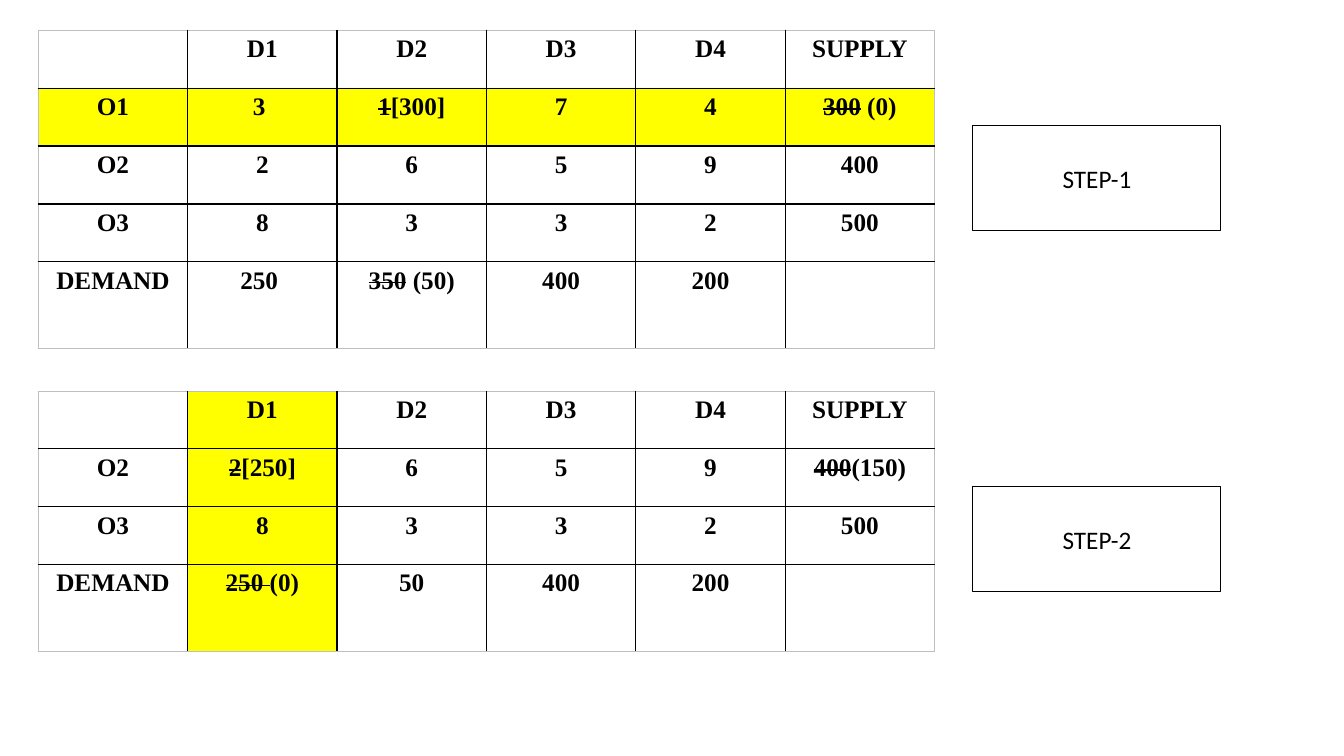
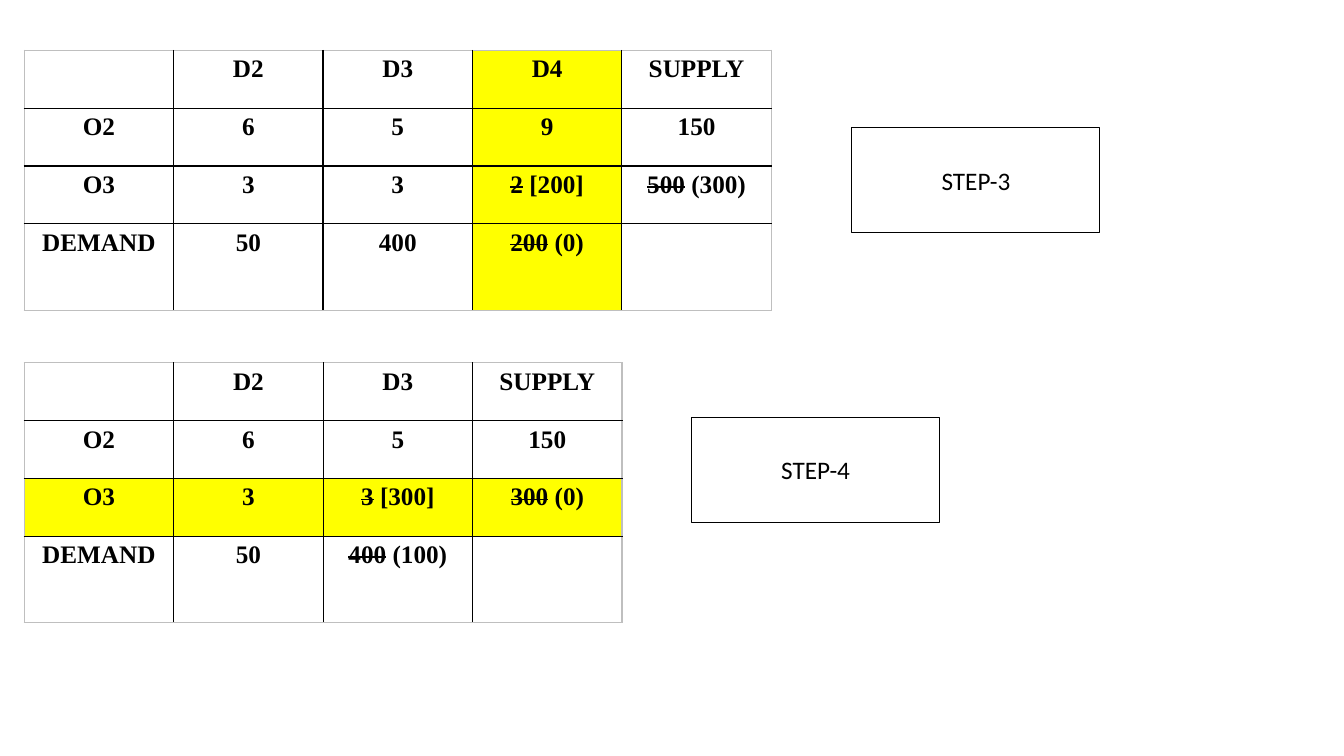
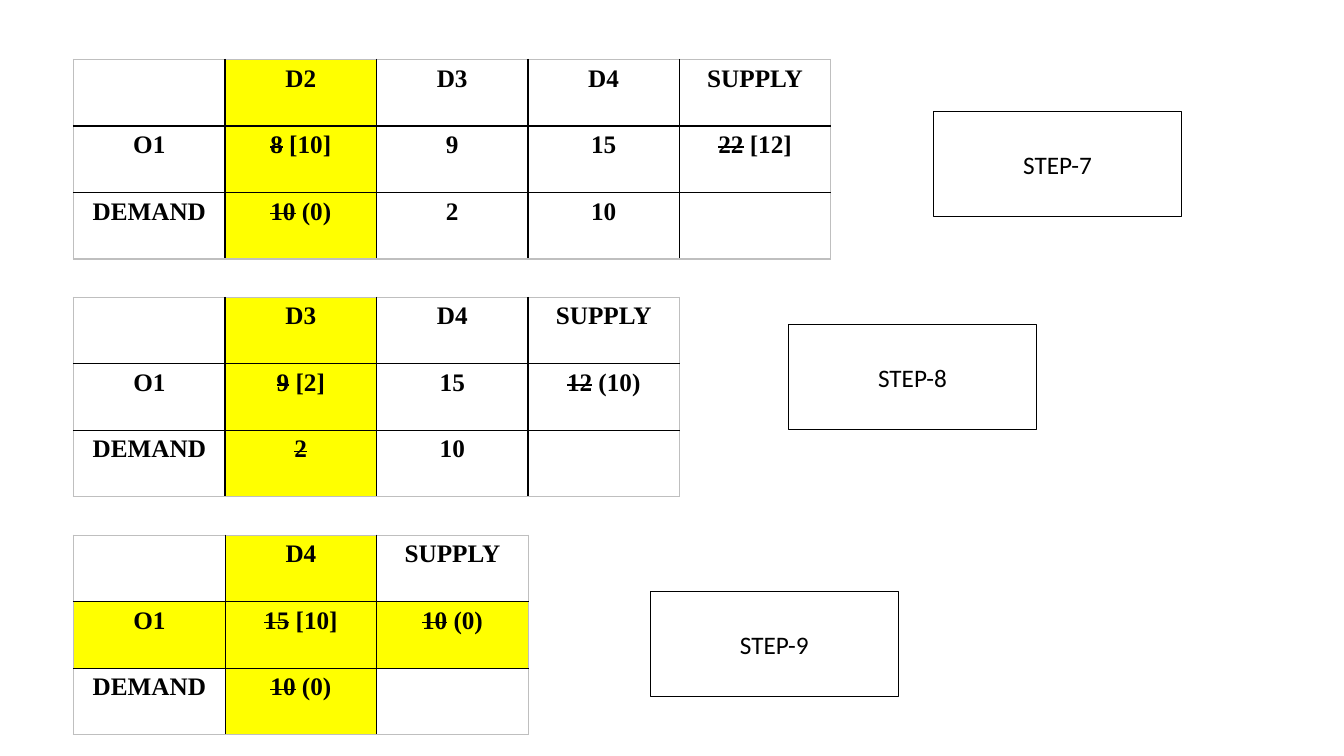
from dataclasses import dataclass
from typing import Optional

from pptx import Presentation
from pptx.dml.color import RGBColor
from pptx.enum.shapes import MSO_SHAPE
from pptx.enum.text import MSO_ANCHOR, PP_ALIGN
from pptx.oxml import parse_xml
from pptx.oxml.ns import nsdecls
from pptx.util import Inches, Pt

# Shared look
COLORS = {"ink": "000000", "frame": "BFBFBF", "highlight": "FFFF00"}
TABLE_FONT = "Times New Roman"
LABEL_FONT = "Calibri"
PLAIN_TABLE_STYLE = "{2D5ABB26-0587-4C30-8999-92F81FD0307C}"
LABEL_WIDTH, LABEL_HEIGHT = 2.46, 1.04
STRIKE_MARK = "~"  # text between two marks is struck through


@dataclass
class Step:
    """One allocation table with its step label; cells are split by '|'."""
    label: str
    label_left: float
    label_top: float
    left: float
    top: float
    width: float
    height: float
    rows: list[str]
    highlight_row: Optional[int] = None
    highlight_column: Optional[int] = None
    last_row_ratio: float = 1.5


# Slide content
SLIDES = [
    [
        Step("STEP-1", 9.65, 1.25, 0.38, 0.3, 8.89, 3.16, [
            "|D1|D2|D3|D4|SUPPLY",
            "O1|3 |~1~[300]|7|4|~300~ (0)",
            "O2|2|6|5|9|400",
            "O3|8|3|3|2|500",
            "DEMAND|250 |~350~ (50)|400|200|",
        ], highlight_row=1),
        Step("STEP-2", 9.65, 4.83, 0.38, 3.88, 8.89, 2.58, [
            "|D1|D2|D3|D4|SUPPLY",
            "O2|~2~[250]|6|5|9|~400~(150)",
            "O3|8|3|3|2|500",
            "DEMAND|~250 ~(0)|50|400|200|",
        ], highlight_column=1),
    ],
    [
        Step("STEP-3", 8.45, 1.27, 0.24, 0.5, 7.41, 2.58, [
            "|D2|D3|D4|SUPPLY",
            "O2|6|5|9|150",
            "O3|3|3|~2~ [200]|~500~ (300)",
            "DEMAND|50|400|~200~ (0)|",
        ], highlight_column=3),
        Step("STEP-4", 6.86, 4.14, 0.24, 3.6, 5.93, 2.58, [
            "|D2|D3|SUPPLY",
            "O2|6|5|150",
            "O3|3|~3~ [300]|~300~ (0)",
            "DEMAND|50|~400~ (100)|",
        ], highlight_row=2),
    ],
    [
        Step("STEP-7", 9.26, 1.11, 0.73, 0.59, 7.51, 1.98, [
            "|D2|D3|D4|SUPPLY",
            "O1|~8~ [10]|9|15|~22~ [12]",
            "DEMAND|~10~ (0)|2|10|",
        ], highlight_column=1, last_row_ratio=1),
        Step("STEP-8", 7.82, 3.22, 0.73, 2.95, 6.01, 1.98, [
            "|D3|D4|SUPPLY",
            "O1|~9~ [2]|15|~12~ (10)",
            "DEMAND|~2~|10|",
        ], highlight_column=1, last_row_ratio=1),
        Step("STEP-9", 6.45, 5.87, 0.73, 5.31, 4.51, 1.98, [
            "|D4|SUPPLY",
            "O1|~15~ [10]|~10~ (0)",
            "DEMAND|~10~ (0)|",
        ], highlight_row=1, highlight_column=1, last_row_ratio=1),
    ],
]


def rgb(name: str) -> RGBColor:
    return RGBColor.from_string(COLORS[name])


def write_text(text_frame, text: str, *, font: str, size: float = 18,
               color: str = "ink", bold: bool = False) -> None:
    """Write one centred paragraph, striking out the marked parts."""
    paragraph = text_frame.paragraphs[0]
    paragraph.alignment = PP_ALIGN.CENTER
    for index, part in enumerate(text.split(STRIKE_MARK)):
        if not part:
            continue
        run = paragraph.add_run()
        run.text = part
        run.font.name = font
        run.font.size = Pt(size)
        run.font.bold = bold
        run.font.color.rgb = rgb(color)
        if index % 2:
            run._r.get_or_add_rPr().set("strike", "sngStrike")


def set_borders(cell, outer_sides: dict[str, bool]) -> None:
    """Draw all four borders; sides on the table's edge get the frame colour."""
    properties = cell._tc.get_or_add_tcPr()
    for index, (side, is_outer) in enumerate(outer_sides.items()):
        color = COLORS["frame" if is_outer else "ink"]
        properties.insert(index, parse_xml(
            f'<a:ln{side} {nsdecls("a")} w="{Pt(1)}"><a:solidFill>'
            f'<a:srgbClr val="{color}"/></a:solidFill></a:ln{side}>'))


def add_step_table(slide, step: Step) -> None:
    rows = [row.split("|") for row in step.rows]
    last_row, last_column = len(rows) - 1, len(rows[0]) - 1
    table = slide.shapes.add_table(
        len(rows), len(rows[0]), Inches(step.left), Inches(step.top),
        Inches(step.width), Inches(step.height)).table
    table.first_row = table.horz_banding = False
    table._tbl.tblPr.find("{*}tableStyleId").text = PLAIN_TABLE_STYLE

    # Equal columns; the last row may be taller than the others
    row_height = step.height / (last_row + step.last_row_ratio)
    for column in table.columns:
        column.width = Inches(step.width / len(rows[0]))
    for row in table.rows:
        row.height = Inches(row_height)
    table.rows[last_row].height = Inches(row_height * step.last_row_ratio)

    for row_index, texts in enumerate(rows):
        for column_index, text in enumerate(texts):
            cell = table.cell(row_index, column_index)
            cell.margin_left = cell.margin_right = Inches(0.11)
            cell.margin_top = cell.margin_bottom = Inches(0.05)
            write_text(cell.text_frame, text, font=TABLE_FONT, bold=True)
            if (row_index == step.highlight_row
                    or column_index == step.highlight_column):
                cell.fill.solid()
                cell.fill.fore_color.rgb = rgb("highlight")
            else:
                cell.fill.background()
            set_borders(cell, {
                "L": column_index == 0, "R": column_index == last_column,
                "T": row_index == 0, "B": row_index == last_row})


def add_step_label(slide, step: Step) -> None:
    shape = slide.shapes.add_shape(
        MSO_SHAPE.RECTANGLE, Inches(step.label_left), Inches(step.label_top),
        Inches(LABEL_WIDTH), Inches(LABEL_HEIGHT))
    shape.shadow.inherit = False
    shape.fill.background()
    shape.line.color.rgb = rgb("ink")
    shape.line.width = Pt(0.75)
    shape.text_frame.vertical_anchor = MSO_ANCHOR.MIDDLE
    write_text(shape.text_frame, step.label, font=LABEL_FONT)


def main() -> None:
    presentation = Presentation()
    presentation.slide_width = Inches(13.33)
    presentation.slide_height = Inches(7.5)
    blank_layout = presentation.slide_layouts[6]
    for steps in SLIDES:
        slide = presentation.slides.add_slide(blank_layout)
        for step in steps:
            add_step_table(slide, step)
        for step in steps:
            add_step_label(slide, step)
    presentation.save("out.pptx")


if __name__ == "__main__":
    main()
